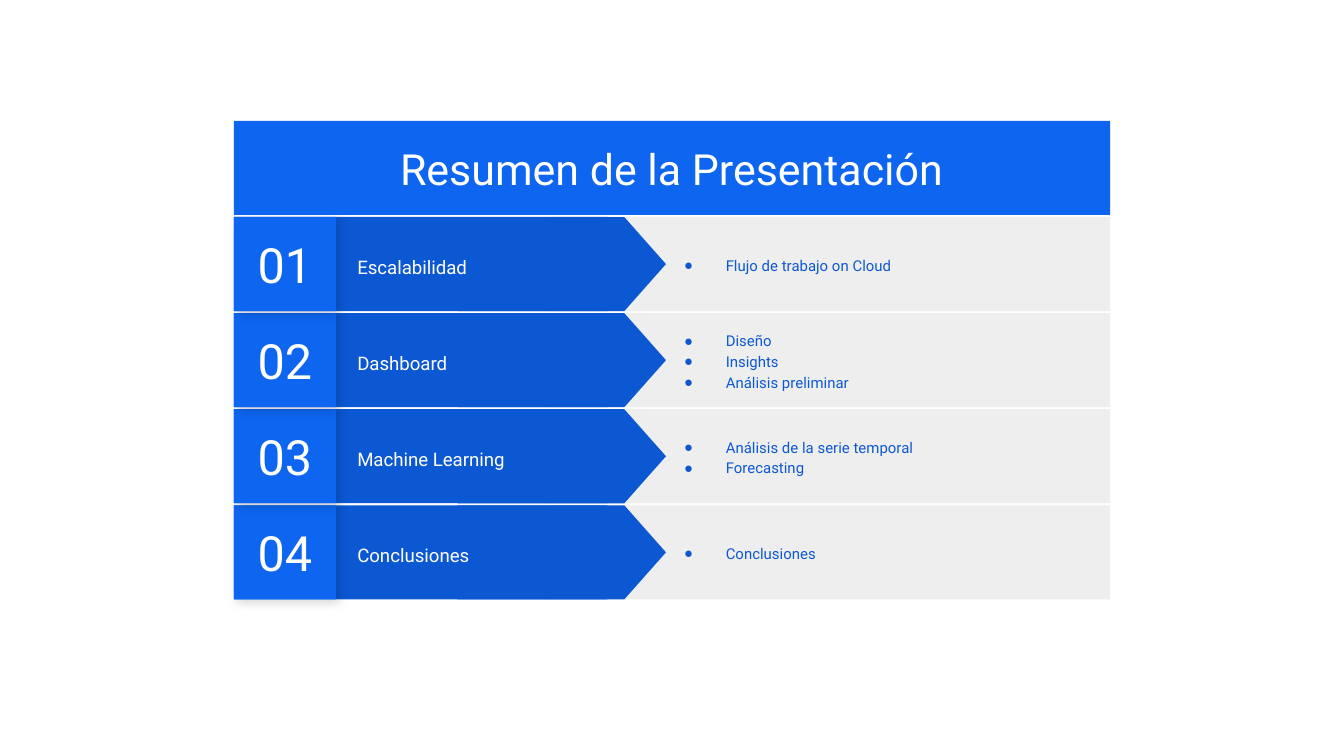
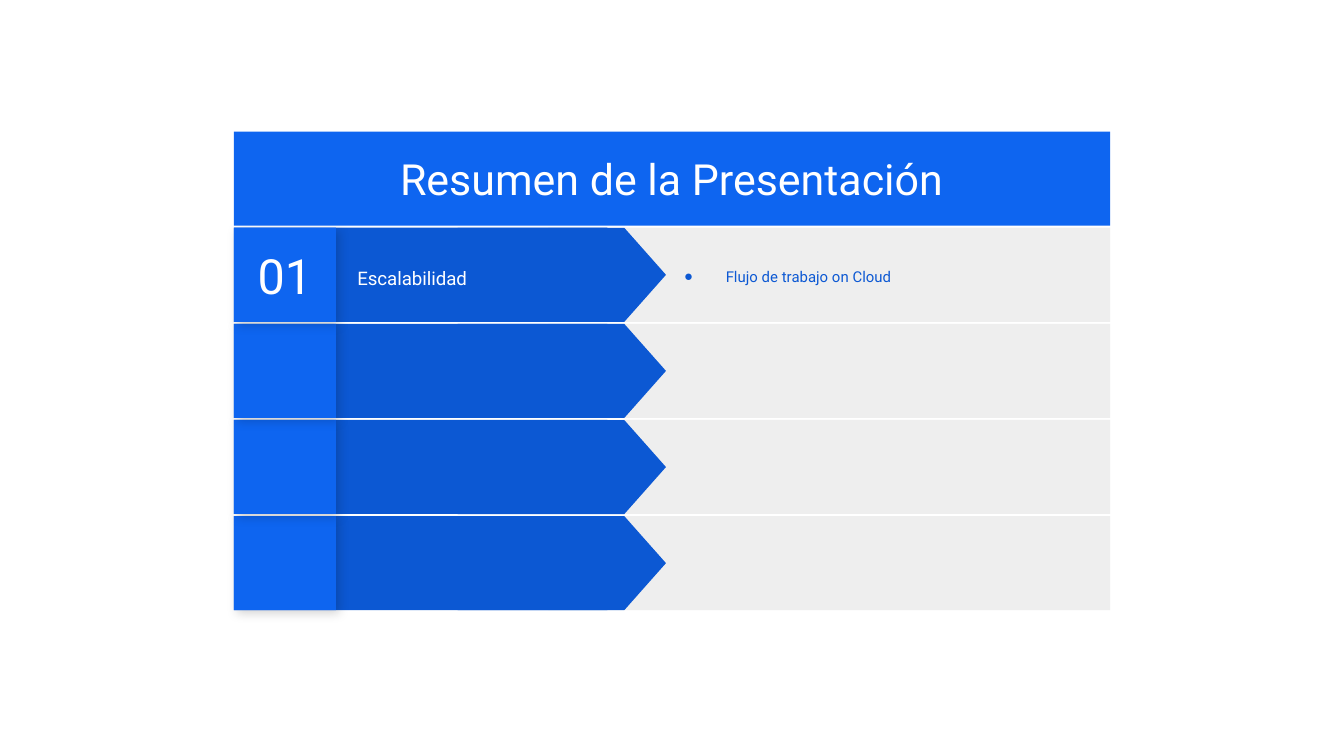
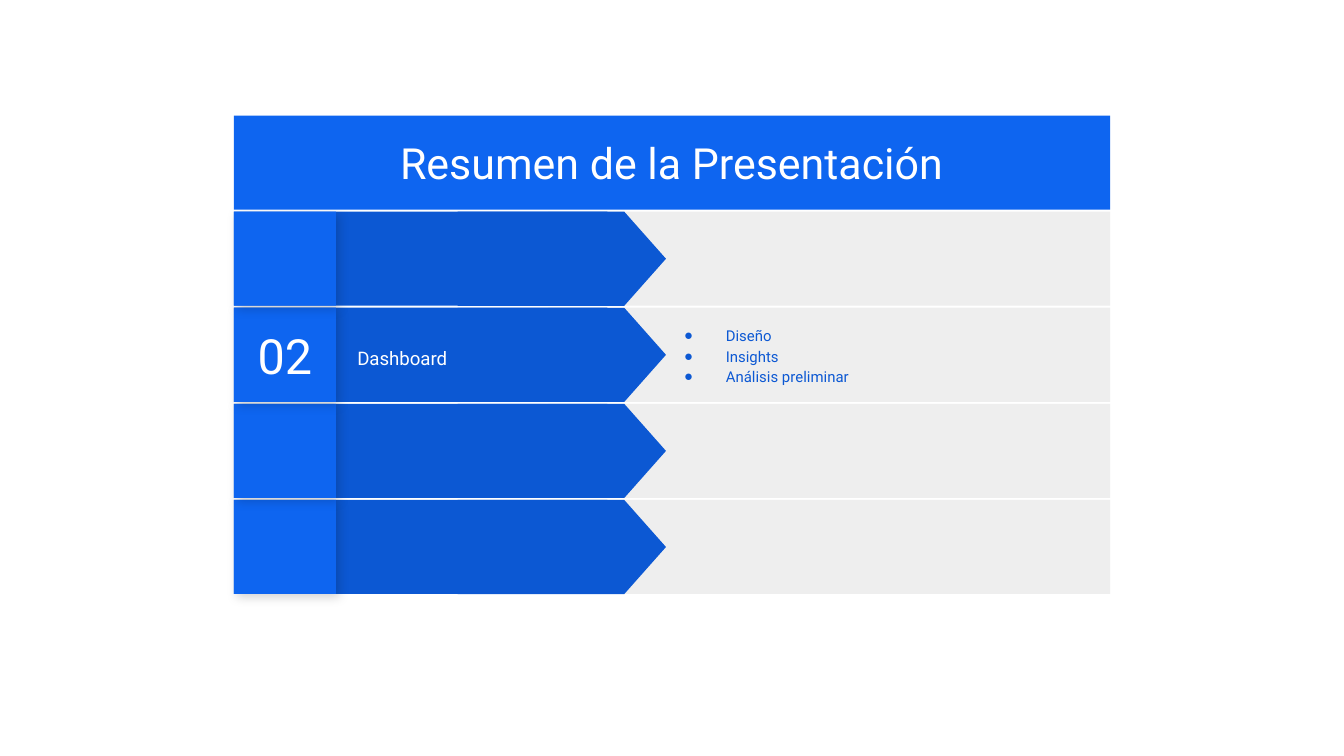
from lxml import etree
from pptx import Presentation
from pptx.dml.color import RGBColor
from pptx.enum.shapes import MSO_SHAPE
from pptx.enum.text import MSO_ANCHOR, MSO_AUTO_SIZE, PP_ALIGN
from pptx.oxml.ns import qn
from pptx.util import Inches, Pt

RECTANGLE = MSO_SHAPE.RECTANGLE
POINTER = MSO_SHAPE.FLOWCHART_OFFPAGE_CONNECTOR
MIDDLE = MSO_ANCHOR.MIDDLE
CENTER = PP_ALIGN.CENTER
LEFT = PP_ALIGN.LEFT
NO_AUTOFIT = MSO_AUTO_SIZE.NONE

FONT = "Roboto"
WHITE = "FFFFFF"
BRIGHT_BLUE = "0E65F0"
DEEP_BLUE = "0C58D3"
SHADOW_BLUE = "0D5DDF"
GRAY = "EEEEEE"

PAGE_WIDTH = 10
PAGE_HEIGHT = PAGE_WIDTH * 9 / 16
TABLE_LEFT, TABLE_WIDTH = 1.74, 6.52
ROW_HEIGHT = 0.7
ROW_PITCH = 2.86 / 4
FOOTER_TOP = 4.83
CONTENT_LAYOUT, FOUR_BODIES_LAYOUT = 1, 4

TITLE = "Resumen de la Presentación"
SECTIONS = [
    ("Escalabilidad", ["Flujo de trabajo on Cloud"]),
    ("Dashboard", ["Diseño", "Insights", "Análisis preliminar"]),
    ("Machine Learning", ["Análisis de la serie temporal", "Forecasting"]),
    ("Conclusiones", ["Conclusiones"]),
]
# Top of the table and the sections that are written out on each slide
SLIDES = [(0.9, [0, 1, 2, 3]), (0.98, [0]), (0.86, [1])]


def color(value):
    return RGBColor.from_string(value)


def place(shape, left, top, width, height):
    shape.left, shape.top = Inches(left), Inches(top)
    shape.width, shape.height = Inches(width), Inches(height)


def add_block(shapes, kind, left, top, width, height, fill):
    block = shapes.add_shape(kind, Inches(left), Inches(top), Inches(width), Inches(height))
    block.shadow.inherit = False
    block.fill.solid()
    block.fill.fore_color.rgb = color(fill)
    block.line.fill.background()
    return block


def add_shadow(shape):
    """Cast a soft black shadow down and to the right."""
    effects = shape.element.spPr.find(qn("a:effectLst"))
    shadow = etree.SubElement(effects, qn("a:outerShdw"), blurRad=str(Pt(5.6)),
                              dist=str(Pt(2.2)), dir=str(45 * 60000),
                              algn="bl", rotWithShape="0")
    black = etree.SubElement(shadow, qn("a:srgbClr"), val="000000")
    etree.SubElement(black, qn("a:alpha"), val="17000")


def add_bullet(para):
    props = para._p.get_or_add_pPr()
    props.set("marL", str(Inches(0.5)))
    props.set("indent", str(Inches(-0.31)))
    bullet_color = etree.SubElement(props, qn("a:buClr"))
    etree.SubElement(bullet_color, qn("a:srgbClr"), val=DEEP_BLUE)
    etree.SubElement(props, qn("a:buChar"), char="●")


def write(shape, lines, size, ink, align=LEFT, spacing=1, bulleted=False):
    frame = shape.text_frame
    frame.word_wrap = True
    frame.auto_size = NO_AUTOFIT
    frame.vertical_anchor = MIDDLE
    frame.margin_left = frame.margin_right = Inches(0.1)
    frame.margin_top = frame.margin_bottom = Inches(0.1)
    for index, line in enumerate(lines):
        para = frame.add_paragraph() if index else frame.paragraphs[0]
        if bulleted:
            add_bullet(para)
        para.alignment = align
        para.line_spacing = spacing
        para.space_before = Pt(0)
        span = para.add_run()
        span.text = line
        span.font.name = FONT
        span.font.size = Pt(size)
        span.font.bold = False
        span.font.color.rgb = color(ink)


def add_row(page, top, number, label):
    """Draw one row of the table; a row without a label stays empty."""
    shapes = page.shapes.add_group_shape().shapes
    add_block(shapes, RECTANGLE, 4.08, top, 4.18, ROW_HEIGHT, GRAY)
    add_block(shapes, RECTANGLE, 2.5, top, 2.02, ROW_HEIGHT, DEEP_BLUE)
    length = 1.55
    pointer = add_block(shapes, POINTER, 3.83, top + (ROW_HEIGHT - length) / 2,
                        ROW_HEIGHT, length, DEEP_BLUE)
    pointer.rotation = 270
    if label:
        box = shapes.add_textbox(Inches(2.56), Inches(top + 0.09), Inches(2.12), Inches(0.54))
        write(box, [label], 10, WHITE, spacing=1.15)
    tile = (RECTANGLE, TABLE_LEFT, top, 0.76, ROW_HEIGHT)
    add_shadow(add_block(shapes, *tile, SHADOW_BLUE))
    number_tile = add_block(shapes, *tile, BRIGHT_BLUE)
    if label:
        write(number_tile, [f"{number:02d}"], 26, WHITE, CENTER)


def fill_list(page, body, top, items):
    place(body, 4.8, top, 3.25, ROW_HEIGHT)
    write(body, items, 8, DEEP_BLUE, spacing=1.15, bulleted=True)
    page.shapes._spTree.append(body.element)


def fill_title(page, top):
    title = page.shapes.title
    place(title, TABLE_LEFT, top, TABLE_WIDTH, ROW_HEIGHT)
    title.fill.solid()
    title.fill.fore_color.rgb = color(BRIGHT_BLUE)
    write(title, [TITLE], 23, WHITE, CENTER)
    page.shapes._spTree.append(title.element)


def add_footer(page):
    footer = add_block(page.shapes, RECTANGLE, 0, FOOTER_TOP, PAGE_WIDTH,
                       PAGE_HEIGHT - FOOTER_TOP, WHITE)
    footer.line.color.rgb = color(WHITE)
    footer.line.width = Pt(0.75)


def add_summary(deck, top, shown):
    layout = CONTENT_LAYOUT if len(shown) == 1 else FOUR_BODIES_LAYOUT
    page = deck.slides.add_slide(deck.slide_layouts[layout])
    bodies = dict(zip(shown, list(page.placeholders)[1:]))
    for index in reversed(range(len(SECTIONS))):
        label, items = SECTIONS[index]
        row_top = top + (index + 1) * ROW_PITCH
        add_row(page, row_top, index + 1, label if index in shown else None)
        if index in shown:
            fill_list(page, bodies[index], row_top, items)
    fill_title(page, top)
    add_footer(page)


def main():
    deck = Presentation()
    deck.slide_width = Inches(PAGE_WIDTH)
    deck.slide_height = Inches(PAGE_HEIGHT)
    for top, shown in SLIDES:
        add_summary(deck, top, shown)
    deck.save("out.pptx")


if __name__ == "__main__":
    main()
